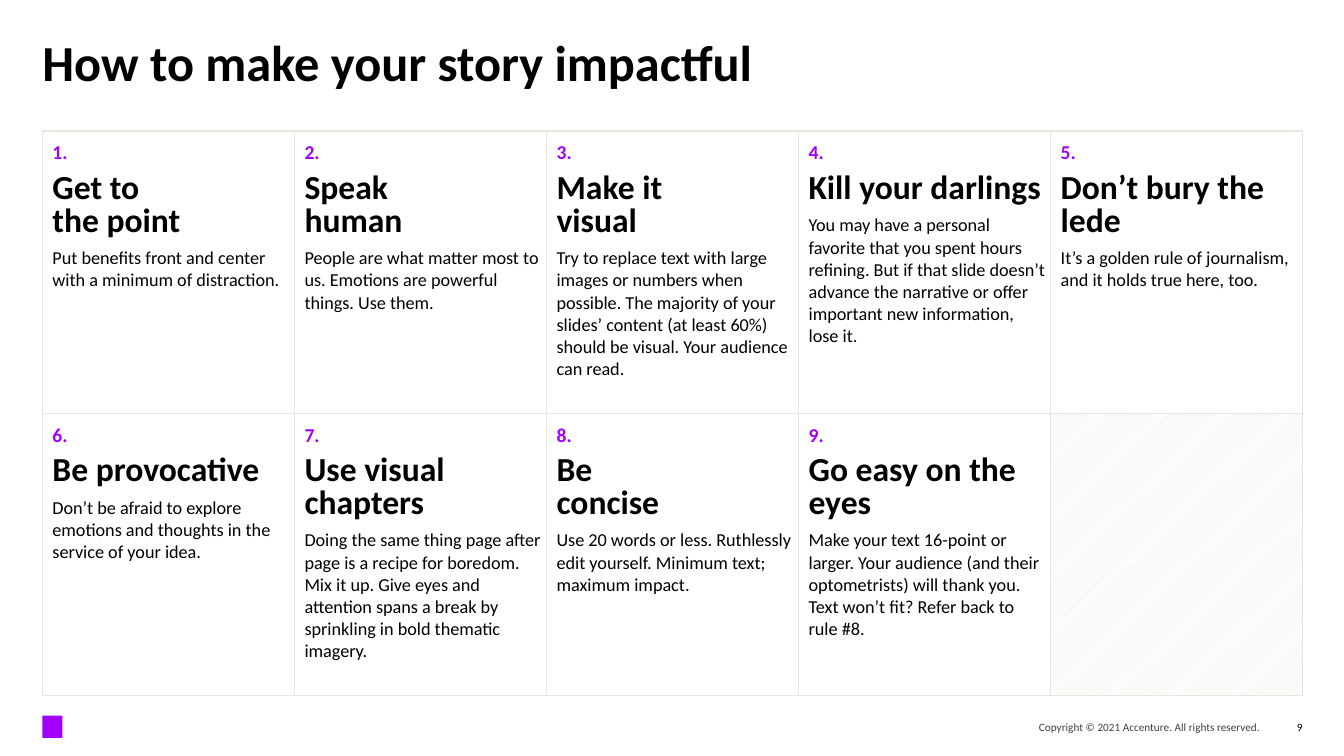
import pptx
import pptx.dml.color
import pptx.enum.dml
import pptx.enum.shapes
import pptx.enum.text
import pptx.oxml
import pptx.oxml.ns
import pptx.util

Inches = pptx.util.Inches
Pt = pptx.util.Pt
ALIGN = pptx.enum.text.PP_ALIGN
ANCHOR = pptx.enum.text.MSO_ANCHOR

WIDTH, HEIGHT = 13.33, 7.5
MARGIN = 0.42
CONTENT_WIDTH = 12.5
COLUMNS, ROWS = 5, 2
FONT = "Calibri"
PURPLE, BLACK, GREY, SAND, WHITE = "A100FF", "000000", "404040", "E6E6DC", "FFFFFF"

# Heading and advice for each rule; the number follows from the order
RULES = [
    ("Get to \vthe point",
     "Put benefits front and center with a minimum of distraction."),
    ("Speak \vhuman",
     "People are what matter most to us. Emotions are powerful things. Use them."),
    ("Make it \vvisual",
     "Try to replace text with large images or numbers when possible. The majority of "
     "your slides’ content (at least 60%) should be visual. Your audience can read."),
    ("Kill your darlings",
     "You may have a personal favorite that you spent hours refining. But if that slide "
     "doesn’t advance the narrative or offer important new information, lose it."),
    ("Don’t bury the lede",
     "It’s a golden rule of journalism, and it holds true here, too."),
    ("Be provocative",
     "Don’t be afraid to explore emotions and thoughts in the service of your idea."),
    ("Use visual chapters",
     "Doing the same thing page after page is a recipe for boredom. Mix it up. Give eyes "
     "and attention spans a break by sprinkling in bold thematic imagery."),
    ("Be \vconcise",
     "Use 20 words or less. Ruthlessly edit yourself. Minimum text; maximum impact."),
    ("Go easy on the eyes",
     "Make your text 16-point or larger. Your audience (and their optometrists) will "
     "thank you. Text won’t fit? Refer back to rule #8."),
]


def color(hex_string):
    return pptx.dml.color.RGBColor.from_string(hex_string)


def format_paragraph(paragraph, size, hex_string, bold=False, align=ALIGN.LEFT,
                     line_spacing=1.0, space_after=0):
    paragraph.alignment = align
    paragraph.line_spacing = line_spacing
    paragraph.space_before = Pt(0)
    paragraph.space_after = Pt(space_after)
    for run in paragraph.runs:
        run.font.name = FONT
        run.font.size = Pt(size)
        run.font.bold = bold
        run.font.color.rgb = color(hex_string)


def clear_margins(text_frame):
    text_frame.margin_left = text_frame.margin_right = 0
    text_frame.margin_top = text_frame.margin_bottom = 0


def add_title(slide, left, top, width, height):
    title = slide.shapes.title
    title.left, title.top = Inches(left), Inches(top)
    title.width, title.height = Inches(width), Inches(height)
    text_frame = title.text_frame
    text_frame.text = "How to make your story impactful"
    text_frame.auto_size = pptx.enum.text.MSO_AUTO_SIZE.NONE
    text_frame.vertical_anchor = ANCHOR.TOP
    clear_margins(text_frame)
    format_paragraph(text_frame.paragraphs[0], 36, BLACK, bold=True, line_spacing=0.8)


def set_borders(cell, hex_string, points):
    properties = cell._tc.get_or_add_tcPr()
    for index, side in enumerate(("lnL", "lnR", "lnT", "lnB")):
        line = pptx.oxml.parse_xml(
            f'<a:{side} {pptx.oxml.ns.nsdecls("a")} w="{Pt(points)}"><a:solidFill>'
            f'<a:srgbClr val="{hex_string}"/></a:solidFill></a:{side}>')
        properties.insert(index, line)


def fill_rule_cell(cell, number, heading, advice):
    cell.fill.background()
    text_frame = cell.text_frame
    text_frame.text = f"{number}."
    text_frame.add_paragraph().text = heading
    text_frame.add_paragraph().text = advice
    number_line, heading_line, advice_line = text_frame.paragraphs
    format_paragraph(number_line, 14, PURPLE, bold=True, space_after=6)
    format_paragraph(heading_line, 24, BLACK, bold=True, line_spacing=0.8, space_after=6)
    format_paragraph(advice_line, 13, BLACK, space_after=12)


def fill_spare_cell(cell):
    cell.fill.patterned()
    cell.fill.pattern = pptx.enum.dml.MSO_PATTERN.DARK_UPWARD_DIAGONAL
    cell.fill.fore_color.rgb = color(SAND)
    cell.fill.back_color.rgb = color(WHITE)


def add_rules_table(slide, left, top, width, height):
    table = slide.shapes.add_table(ROWS, COLUMNS, Inches(left), Inches(top),
                                   Inches(width), Inches(height)).table
    table.first_row = table.horz_banding = False
    for column in table.columns:
        column.width = Inches(width / COLUMNS)
    for row in table.rows:
        row.height = Inches(height / ROWS)
    for index, cell in enumerate(table.iter_cells()):
        cell.margin_left = cell.margin_top = Inches(0.1)
        cell.margin_right = cell.margin_bottom = Inches(0.05)
        if index < len(RULES):
            fill_rule_cell(cell, index + 1, *RULES[index])
        else:
            fill_spare_cell(cell)
        set_borders(cell, SAND, 1)


def add_footer(slide, left, top, width, height):
    # Plain brand marker
    marker = slide.shapes.add_shape(pptx.enum.shapes.MSO_SHAPE.RECTANGLE, Inches(left),
                                    Inches(top), Inches(0.2), Inches(height))
    marker.shadow.inherit = False
    marker.fill.solid()
    marker.fill.fore_color.rgb = color(PURPLE)
    marker.line.fill.background()

    # Copyright line and page number, each ending at a given right edge
    right = left + width
    notes = [
        ("Copyright © 2021 Accenture. All rights reserved.", right - 0.42, 4.5, GREY, True),
        ("9", right, 0.36, BLACK, False),
    ]
    for text, edge, box_width, hex_string, wrap in notes:
        box = slide.shapes.add_textbox(Inches(edge - box_width), Inches(top),
                                       Inches(box_width), Inches(height))
        text_frame = box.text_frame
        text_frame.text = text
        text_frame.word_wrap = wrap
        text_frame.vertical_anchor = ANCHOR.MIDDLE
        clear_margins(text_frame)
        format_paragraph(text_frame.paragraphs[0], 8, hex_string, align=ALIGN.RIGHT)


def main():
    presentation = pptx.Presentation()
    presentation.slide_width = Inches(WIDTH)
    presentation.slide_height = Inches(HEIGHT)
    slide = presentation.slides.add_slide(presentation.slide_layouts[5])
    add_title(slide, MARGIN, MARGIN, CONTENT_WIDTH, 1.08)
    add_rules_table(slide, MARGIN, 1.3, CONTENT_WIDTH, 5.6)
    add_footer(slide, MARGIN, 7.1, CONTENT_WIDTH, 0.22)
    presentation.save("out.pptx")


if __name__ == "__main__":
    main()
